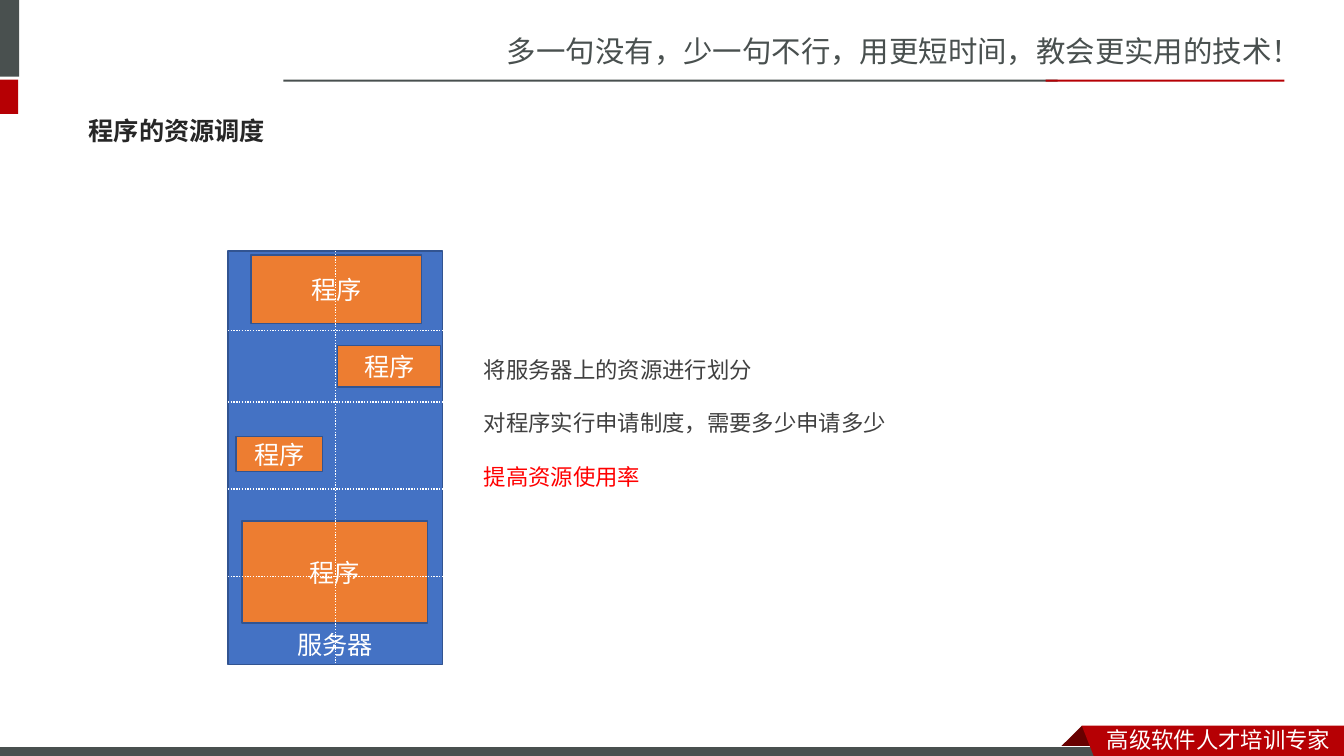
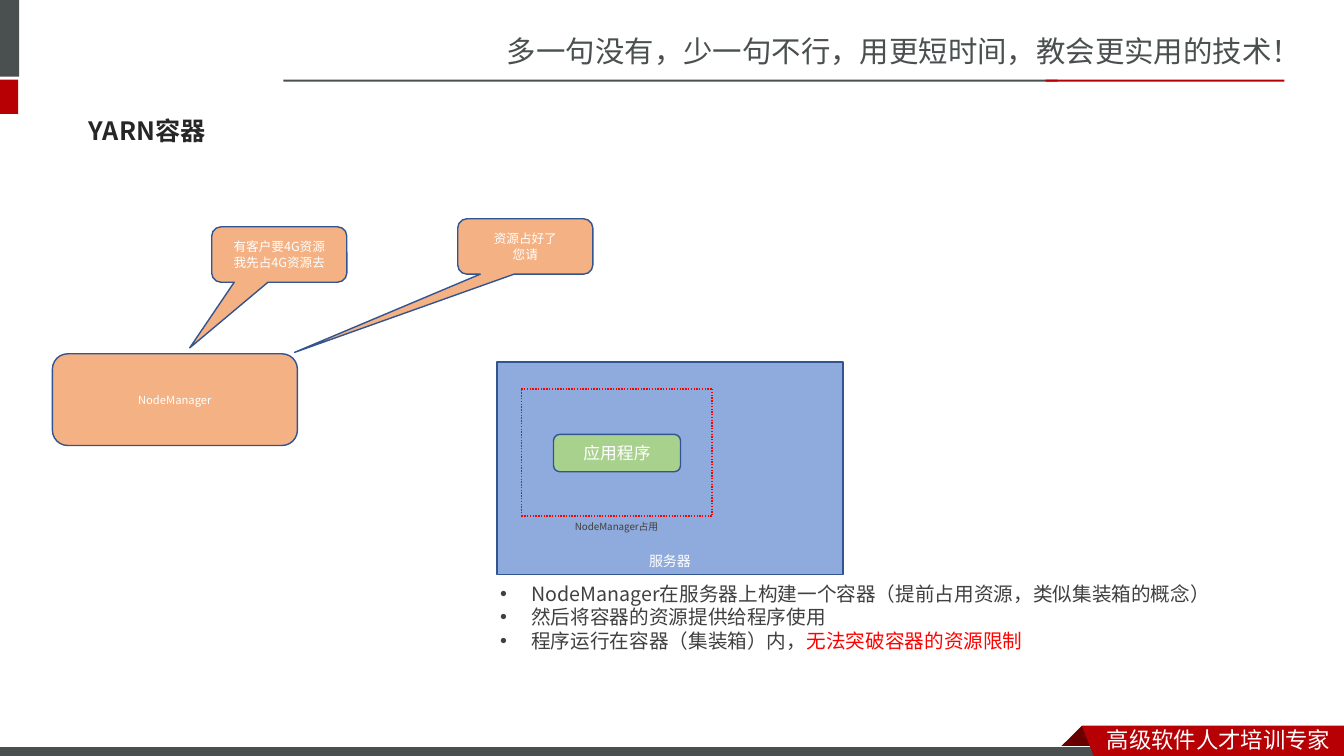
from dataclasses import dataclass
from itertools import pairwise
from typing import NamedTuple

from lxml import etree
from pptx import Presentation
from pptx.dml.color import RGBColor
from pptx.enum import dml, shapes, text
from pptx.oxml import ns
from pptx.util import Inches, Pt

KIND = shapes.MSO_SHAPE
ALIGN = text.PP_ALIGN
ANCHOR = text.MSO_ANCHOR


@dataclass(frozen=True)
class Theme:
    # Colours
    slate: str = "49504F"
    red: str = "B60004"
    fold: str = "680000"
    white: str = "FFFFFF"
    heading: str = "262626"
    body: str = "404040"
    alert: str = "FF0000"
    outline: str = "325491"
    blue: str = "4472C4"
    pale_blue: str = "8FAADC"
    orange: str = "ED7D31"
    peach: str = "F4B183"
    green: str = "A9D18E"
    # Fonts and type sizes
    shape_font: str = "Noto Sans CJK SC"
    body_font: str = "Noto Sans CJK JP"
    slogan: float = 21
    title: float = 18
    block: float = 18
    banner: float = 16
    lead: float = 16
    bullet: float = 14
    app: float = 12
    server: float = 10
    speech: float = 9
    manager: float = 8
    caption: float = 7


THEME = Theme()


class Box(NamedTuple):
    left: float
    top: float
    width: float
    height: float


class Line(NamedTuple):
    plain: str = ""
    highlight: str = ""


@dataclass(frozen=True)
class Block:
    """A filled shape with a centred label."""
    box: Box
    label: str
    fill: str
    size: float
    kind: KIND = KIND.RECTANGLE
    anchor: ANCHOR = ANCHOR.MIDDLE
    adjustments: tuple = ()


# Text helpers
def style_run(run, size: float, color: str, font: str, bold: bool = False) -> None:
    run.font.size = Pt(size)
    run.font.bold = bold
    run.font.color.rgb = RGBColor.from_string(color)
    run.font.name = font
    properties = run.font.fill and run._r.get_or_add_rPr()
    etree.SubElement(properties, ns.qn("a:ea"), typeface=font)


def write(shape, words: str, size: float, color: str, font: str,
          align: ALIGN = ALIGN.LEFT, anchor: ANCHOR = ANCHOR.TOP, bold: bool = False) -> None:
    frame = shape.text_frame
    frame.word_wrap = True
    frame.auto_size = text.MSO_AUTO_SIZE.NONE
    frame.vertical_anchor = anchor
    frame.text = words
    for paragraph in frame.paragraphs:
        paragraph.alignment = align
        for run in paragraph.runs:
            style_run(run, size, color, font, bold)


def place(shape, box: Box) -> None:
    shape.left, shape.top, shape.width, shape.height = map(Inches, box)


def add_label(slide, box: Box, words: str, size: float, color: str, font: str,
              align: ALIGN = ALIGN.LEFT) -> None:
    write(slide.shapes.add_textbox(*map(Inches, box)), words, size, color, font, align)


# Shape helpers
def paint(shape, fill: str, outline: str = "", width: float = 1) -> None:
    shape.shadow.inherit = False
    shape.fill.solid()
    shape.fill.fore_color.rgb = RGBColor.from_string(fill)
    if outline:
        shape.line.color.rgb = RGBColor.from_string(outline)
        shape.line.width = Pt(width)
    else:
        shape.line.fill.background()


def add_block(slide, block: Block):
    shape = slide.shapes.add_shape(block.kind, *map(Inches, block.box))
    for index, value in enumerate(block.adjustments):
        shape.adjustments[index] = value
    paint(shape, block.fill, THEME.outline)
    write(shape, block.label, block.size, THEME.white, THEME.shape_font,
          ALIGN.CENTER, block.anchor)
    return shape


def add_dotted(slide, start: tuple[float, float], end: tuple[float, float], color: str):
    line = slide.shapes.add_connector(
        shapes.MSO_CONNECTOR.STRAIGHT, *map(Inches, (*start, *end)))
    line.line.color.rgb = RGBColor.from_string(color)
    line.line.width = Pt(1)
    line.line.dash_style = dml.MSO_LINE.ROUND_DOT
    etree.SubElement(line.element.spPr, ns.qn("a:effectLst"))
    return line


def add_outline(slide, points: list[tuple[float, float]], fill: str) -> None:
    corners = [tuple(map(Inches, point)) for point in points]
    builder = slide.shapes.build_freeform(*corners[0], scale=1.0)
    builder.add_line_segments(corners[1:], close=True)
    paint(builder.convert_to_shape(), fill)


# Frame shared by all slides
def draw_frame(slide) -> None:
    def band(box: Box, fill: str, outline: str = "") -> None:
        paint(slide.shapes.add_shape(KIND.RECTANGLE, *map(Inches, box)), fill, outline, 0.75)

    add_label(slide, Box(4.93, 0.28, 8.41, 0.45),
              "多一句没有，少一句不行，用更短时间，教会更实用的技术！",
              THEME.slogan, THEME.slate, THEME.shape_font)
    band(Box(-0.06, 0, 0.25, 0.76), THEME.slate)
    band(Box(-0.06, 0.79, 0.24, 0.34), THEME.red)
    band(Box(2.81, 0.79, 7.68, 0.02), THEME.slate)
    band(Box(10.37, 0.79, 2.37, 0.02), THEME.red)
    add_outline(slide, [(10.73, 7.2), (10.95, 7.42), (10.94, 7.43),
                        (10.52, 7.43), (10.51, 7.42)], THEME.fold)
    band(Box(-0.01, 7.41, 11, 0.12), THEME.slate, THEME.white)
    add_outline(slide, [(10.73, 7.2), (13.33, 7.2), (13.33, 7.54), (10.86, 7.53)], THEME.red)
    add_label(slide, Box(10.88, 7.15, 2.45, 0.37), "高级软件人才培训专家",
              THEME.banner, THEME.white, THEME.shape_font)


def move_to_layout(slide) -> None:
    """Hand the drawn frame to the layout, so every slide inherits it."""
    drawn = [shape for shape in slide.shapes if not shape.is_placeholder]
    for number, shape in enumerate(drawn, start=100):
        next(shape.element.iter(ns.qn("p:cNvPr"))).set("id", str(number))
        slide.slide_layout.shapes.element.append(shape.element)


# Title and body placeholders
def set_title(slide, words: str) -> None:
    title = slide.shapes.title
    place(title, Box(0.78, 1.03, 11.7, 0.57))
    write(title, words, THEME.title, THEME.heading, THEME.body_font,
          anchor=ANCHOR.MIDDLE, bold=True)
    title.text_frame.paragraphs[0].line_spacing = 0.9


def set_body(slide, box: Box, lines: list[Line], size: float,
             gap: float = 0, bullet: str = "") -> None:
    body = slide.placeholders[1]
    place(body, box)
    write(body, "\n".join(line.plain for line in lines), size, THEME.body, THEME.body_font)
    indent = Inches(0.31) if bullet else 0
    for index, (paragraph, line) in enumerate(zip(body.text_frame.paragraphs, lines)):
        properties = paragraph._p.get_or_add_pPr()
        properties.set("marL", str(indent))
        properties.set("indent", str(-indent))
        if bullet:
            etree.SubElement(properties, ns.qn("a:buChar"), char=bullet)
        else:
            etree.SubElement(properties, ns.qn("a:buNone"))
        paragraph.space_before = Pt(gap if index else 0)
        if line.highlight:
            run = paragraph.add_run()
            run.text = line.highlight
            style_run(run, size, THEME.alert, THEME.body_font)


# Slide 1: a server divided among programs
def build_scheduling(slide) -> None:
    set_title(slide, "程序的资源调度")
    set_body(slide, Box(4.7, 3.48, 7.25, 1.45),
             [Line("将服务器上的资源进行划分"),
              Line("对程序实行申请制度，需要多少申请多少"),
              Line(highlight="提高资源使用率")], THEME.lead, gap=19)

    area = Box(2.26, 2.49, 2.13, 4.1)
    server = add_block(slide, Block(area, "服务器", THEME.blue, THEME.block,
                                    anchor=ANCHOR.BOTTOM))
    for program in (Box(2.49, 2.53, 1.69, 0.68), Box(3.35, 3.43, 1.02, 0.41),
                    Box(2.34, 4.33, 0.86, 0.35), Box(2.4, 5.17, 1.84, 1.01)):
        add_block(slide, Block(program, "程序", THEME.orange, THEME.block))

    right = area.left + area.width
    middle = area.left + area.width / 2
    for y in (3.28, 3.99, 4.85, 5.72):
        add_dotted(slide, (area.left, y), (right, y), THEME.white)
    divider = add_dotted(slide, (middle, area.top), (middle, area.top + area.height),
                         THEME.white)
    divider.begin_connect(server, 0)
    divider.end_connect(server, 2)


# Slide 2: a container reserved on the server
def build_container(slide) -> None:
    set_title(slide, "YARN容器")
    set_body(slide, Box(4.86, 5.72, 7.6, 0.81),
             [Line("NodeManager在服务器上构建一个容器（提前占用资源，类似集装箱的概念）"),
              Line("然后将容器的资源提供给程序使用"),
              Line("程序运行在容器（集装箱）内，", "无法突破容器的资源限制")],
             THEME.bullet, bullet="•")

    callout = KIND.ROUNDED_RECTANGULAR_CALLOUT
    for block in (
        Block(Box(4.93, 3.59, 3.43, 2.11), "服务器", THEME.pale_blue, THEME.server,
              anchor=ANCHOR.BOTTOM),
        Block(Box(0.52, 3.51, 2.43, 0.91), "NodeManager", THEME.peach, THEME.manager,
              KIND.ROUNDED_RECTANGLE),
        Block(Box(2.1, 2.25, 1.34, 0.55), "有客户要4G资源\n我先占4G资源去", THEME.peach,
              THEME.speech, callout, adjustments=(-0.663, 1.684, 0.167)),
        Block(Box(4.54, 2.17, 1.34, 0.55), "资源占好了\n您请", THEME.peach,
              THEME.speech, callout, adjustments=(-1.708, 1.911, 0.167)),
        Block(Box(5.49, 4.31, 1.26, 0.37), "应用程序", THEME.green, THEME.app,
              KIND.FLOWCHART_ALTERNATE_PROCESS),
    ):
        add_block(slide, block)

    left, top, right, bottom = 5.17, 3.86, 7.06, 5.12
    container = [(left, top), (right, top), (right, bottom), (left, bottom), (left, top)]
    for start, end in pairwise(container):
        add_dotted(slide, start, end, THEME.alert)
    add_label(slide, Box(5.49, 5.12, 1.25, 0.22), "NodeManager占用",
              THEME.caption, THEME.body, THEME.body_font, ALIGN.CENTER)


def main() -> None:
    deck = Presentation()
    deck.slide_width, deck.slide_height = Inches(13.33), Inches(7.5)
    layout = deck.slide_layouts[1]
    for index, build in enumerate((build_scheduling, build_container)):
        slide = deck.slides.add_slide(layout)
        if index == 0:
            draw_frame(slide)
            move_to_layout(slide)
        build(slide)
    deck.save("out.pptx")


if __name__ == "__main__":
    main()
